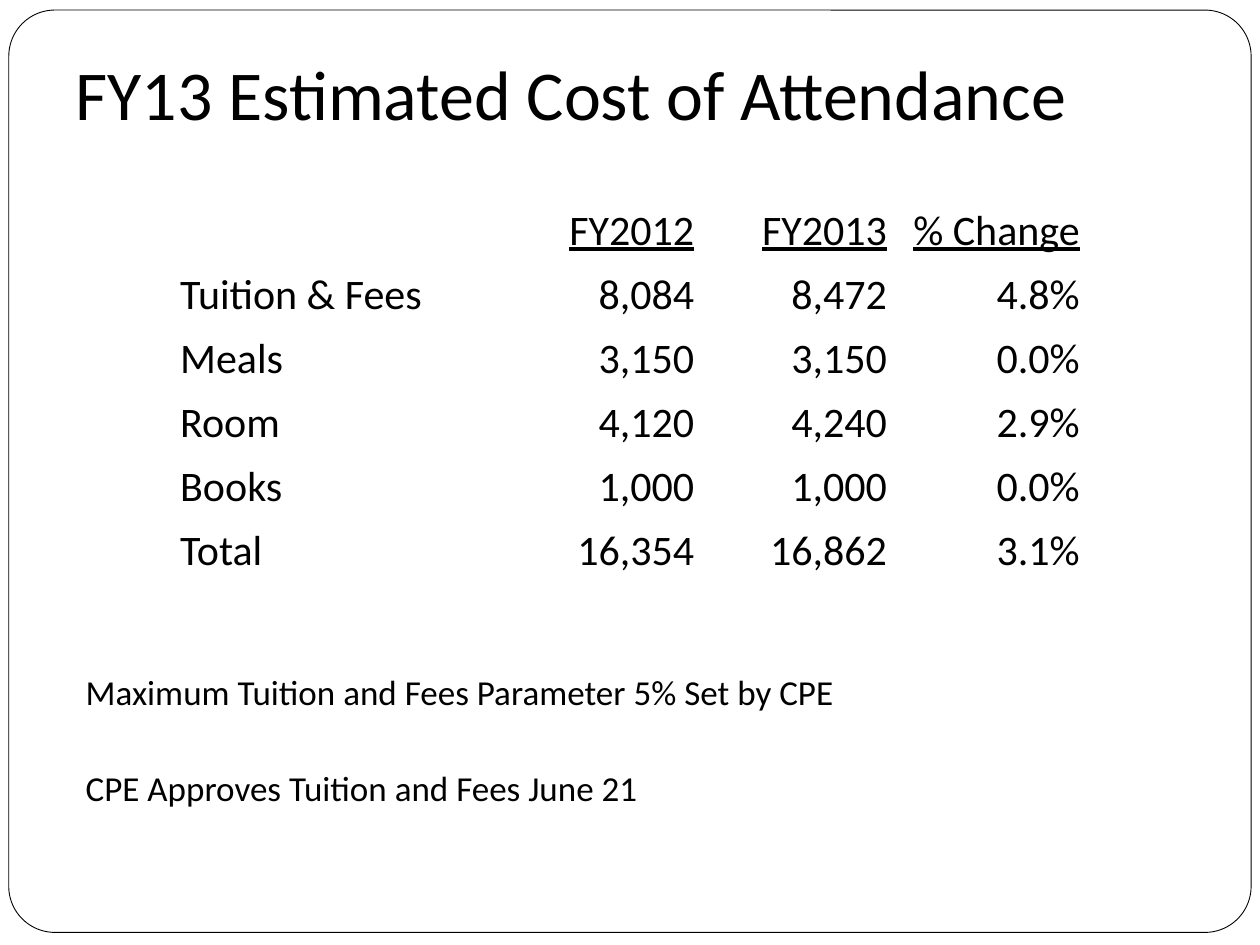
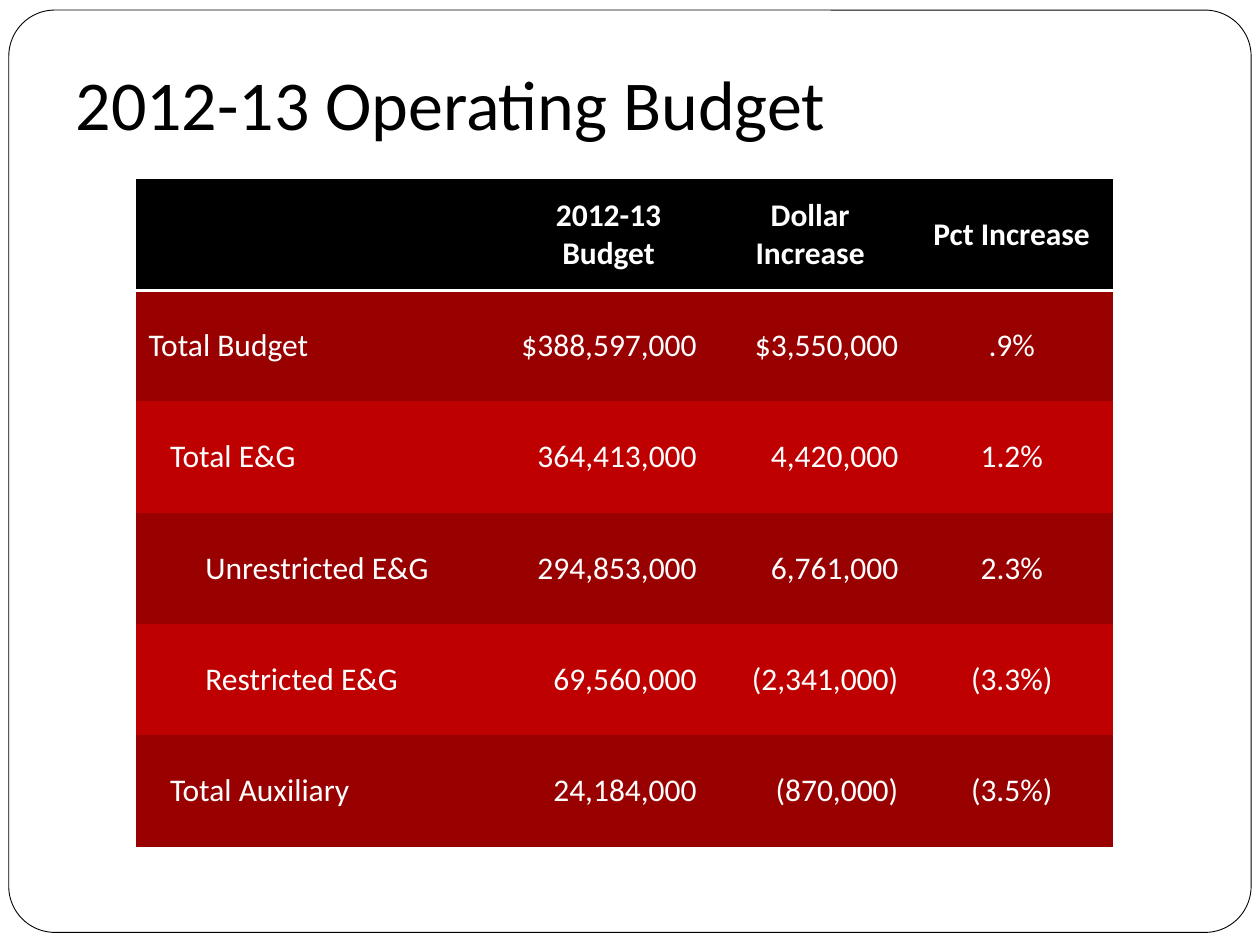
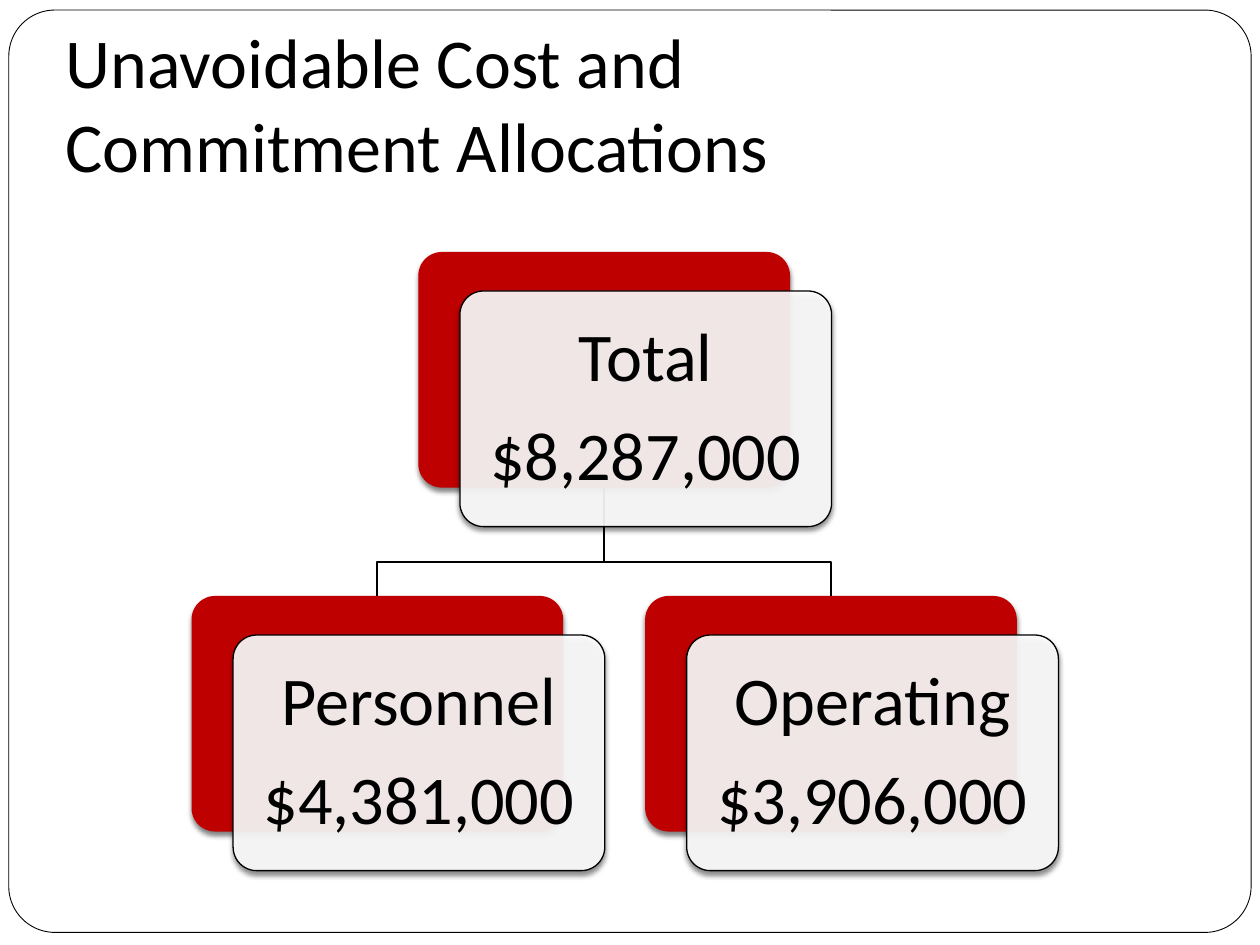
from lxml.etree import SubElement
from pptx import Presentation
from pptx.dml.color import RGBColor
from pptx.enum.shapes import MSO_SHAPE
from pptx.enum.text import MSO_ANCHOR, MSO_AUTO_SIZE, PP_ALIGN
from pptx.oxml import parse_xml
from pptx.oxml.ns import nsdecls, qn
from pptx.util import Inches, Pt

BLACK = RGBColor(0x00, 0x00, 0x00)
WHITE = RGBColor(0xFF, 0xFF, 0xFF)
RED = RGBColor(0xBF, 0x00, 0x00)
DARK_RED = RGBColor(0x99, 0x00, 0x00)
FONT = "Calibri"
NO_GRID_STYLE = "{2D5ABB26-0587-4C30-8999-92F81FD0307C}"
LEFT, CENTER, RIGHT = PP_ALIGN.LEFT, PP_ALIGN.CENTER, PP_ALIGN.RIGHT


class Deck:
    def __init__(self):
        self.prs = Presentation()
        self.prs.slide_width, self.prs.slide_height = Inches(10), Inches(7.5)
        self.slide = None

    def new_slide(self, title, left, top, width, height):
        self.slide = self.prs.slides.add_slide(self.prs.slide_layouts[5])
        heading = self.slide.shapes.title
        heading.left, heading.top = Inches(left), Inches(top)
        heading.width, heading.height = Inches(width), Inches(height)
        frame = heading.text_frame
        frame.auto_size = MSO_AUTO_SIZE.NONE
        frame.vertical_anchor = MSO_ANCHOR.BOTTOM
        frame.margin_bottom = Inches(0.1)
        paragraph = frame.paragraphs[0]
        for number, line in enumerate(title.split("\n")):
            if number:
                paragraph.add_line_break()
            self.run(paragraph, line, 40, align=LEFT)

    def run(self, paragraph, text, size, color=BLACK, align=LEFT, bold=False, underline=False):
        paragraph.alignment = align
        run = paragraph.add_run()
        run.text = text
        font = run.font
        font.name, font.size, font.color.rgb = FONT, Pt(size), color
        font.bold, font.underline = bold, underline

    def lines(self, frame, texts, size, gap, align=LEFT, spacing=None):
        frame.word_wrap = True
        for number, text in enumerate(texts):
            paragraph = frame.add_paragraph() if number else frame.paragraphs[0]
            paragraph.line_spacing = spacing
            if number:
                paragraph.space_before = Pt(gap)
            self.run(paragraph, text, size, align=align)

    def rounded(self, left, top, width, height, corner, fill, line=None):
        shape = self.slide.shapes.add_shape(
            MSO_SHAPE.ROUNDED_RECTANGLE, Inches(left), Inches(top), Inches(width), Inches(height))
        shape.adjustments[0] = corner
        shape.shadow.inherit = False
        shape.fill.solid()
        shape.fill.fore_color.rgb = fill
        if line:
            shape.line.color.rgb, shape.line.width = BLACK, Pt(line)
        else:
            shape.line.fill.background()
        return shape

    def master_frame(self):
        """Put the rounded page border behind everything on the master."""
        border = self.rounded(0.07, 0.08, 9.86, 7.32, 0.05, WHITE, 0.5)
        self.prs.slide_master.placeholders[0]._element.addprevious(border._element)

    def drop_shadow(self, shape):
        effects = shape._element.spPr.find(qn("a:effectLst"))
        effects.append(parse_xml(
            f'<a:outerShdw {nsdecls("a")} blurRad="{Pt(3)}" dist="{Pt(2)}" dir="5400000" '
            'rotWithShape="0"><a:srgbClr val="000000"><a:alpha val="50000"/></a:srgbClr>'
            '</a:outerShdw>'))

    def table(self, left, top, width, height, columns, rows):
        table = self.slide.shapes.add_table(
            len(rows), len(columns), Inches(left), Inches(top), Inches(width), Inches(height)).table
        table.first_row = table.horz_banding = False
        table._tbl.tblPr.find(qn("a:tableStyleId")).text = NO_GRID_STYLE
        for column, column_width in zip(table.columns, columns):
            column.width = Inches(column_width)
        return table

    def cell(self, cell, text, size, fill=None, **style):
        if fill is None:
            cell.fill.background()
        else:
            cell.fill.solid()
            cell.fill.fore_color.rgb = fill
            cell.vertical_anchor = MSO_ANCHOR.MIDDLE
        if text:
            self.run(cell.text_frame.paragraphs[0], text, size, **style)

    def bottom_border(self, cell, color, width):
        cell._tc.get_or_add_tcPr().insert(0, parse_xml(
            f'<a:lnB {nsdecls("a")} w="{Pt(width)}"><a:solidFill><a:srgbClr val="{color}"/>'
            '</a:solidFill></a:lnB>'))

    def branch(self, points):
        (start_x, start_y), *rest = [(Inches(x), Inches(y)) for x, y in points]
        builder = self.slide.shapes.build_freeform(start_x, start_y)
        builder.add_line_segments(rest, close=False)
        line = builder.convert_to_shape()
        line.shadow.inherit = False
        line.fill.background()
        line.line.color.rgb, line.line.width = BLACK, Pt(1)

    def card(self, left, top, width, height, texts):
        back = self.rounded(left, top, width, height, 0.1, RED)
        front = self.rounded(left + 0.33, top + 0.31, width, height, 0.1, WHITE, 0.75)
        white = front._element.spPr.find(qn("a:solidFill")).find(qn("a:srgbClr"))
        SubElement(white, qn("a:alpha")).set("val", "90000")
        for layer in (back, front):
            self.drop_shadow(layer)
        frame = front.text_frame
        frame.vertical_anchor = MSO_ANCHOR.MIDDLE
        frame.margin_left = frame.margin_right = Inches(0.1)
        self.lines(frame, texts, 39, 14, align=CENTER, spacing=0.9)


def attendance_cost(deck):
    deck.new_slide("FY13 Estimated Cost of Attendance", 0.5, 0.17, 9, 1)
    deck.master_frame()

    # Notes below the cost table
    notes = deck.slide.shapes.add_textbox(Inches(0.33), Inches(4.5), Inches(9), Inches(2.67))
    notes.text_frame.margin_left, notes.text_frame.margin_top = Inches(0.35), Inches(0.82)
    deck.lines(notes.text_frame, ["Maximum Tuition and Fees Parameter 5% Set by CPE",
                                  "CPE Approves Tuition and Fees June 21"], 20, 31)

    # Cost table
    costs = [
        ("", "FY2012", "FY2013", "% Change"),
        ("Tuition & Fees", "8,084", "8,472", "4.8%"),
        ("Meals", "3,150", "3,150", "0.0%"),
        ("Room", "4,120", "4,240", "2.9%"),
        ("Books", "1,000", "1,000", "0.0%"),
        ("Total", "16,354", "16,862", "3.1%"),
    ]
    table = deck.table(1.33, 1.58, 7.33, 3.05, [2.75] + [1.53] * 3, costs)
    for r, row in enumerate(costs):
        for c, text in enumerate(row):
            deck.cell(table.cell(r, c), text, 24, align=RIGHT if c else LEFT, underline=r == 0)


def operating_budget(deck):
    deck.new_slide("2012-13 Operating Budget", 0.5, 0.17, 9, 1.08)
    budget = [
        ("", "2012-13 Budget", "Dollar Increase", "Pct Increase"),
        ("Total Budget", "$388,597,000", "$3,550,000", ".9%"),
        ("Total E&G", "364,413,000", "4,420,000", "1.2%"),
        ("Unrestricted E&G", "294,853,000", "6,761,000", "2.3%"),
        ("Restricted E&G", "69,560,000", "(2,341,000)", "(3.3%)"),
        ("Total Auxiliary", "24,184,000", "(870,000)", "(3.5%)"),
    ]
    label_margins = [0.1, 0.1, 0.27, 0.55, 0.55, 0.27]
    aligns = [LEFT, RIGHT, RIGHT, CENTER]
    table = deck.table(1.08, 1.42, 7.75, 5.3, [2.95] + [1.6] * 3, budget)
    for r, row in enumerate(budget):
        header = r == 0
        fill = BLACK if header else (RED, DARK_RED)[r % 2]
        table.cell(r, 0).margin_left = Inches(label_margins[r])
        for c, text in enumerate(row):
            deck.cell(table.cell(r, c), text, 18, fill, color=WHITE, bold=header,
                      align=CENTER if header else aligns[c])
            if header:
                deck.bottom_border(table.cell(r, c), WHITE, 2)


def cost_allocations(deck):
    deck.new_slide("Unavoidable Cost and\nCommitment Allocations", 0.42, 0.33, 8.5, 1.25)
    width, height = 2.95, 1.87
    total_left, total_top = 3.32, 2
    parts_top, parts_shift = 4.73, 1.8
    center, bottom, fork = total_left + width / 2, total_top + height, 4.46

    # Branches from the total to its parts
    for shift in (parts_shift, -parts_shift):
        deck.branch([(center, bottom), (center, fork),
                     (center + shift, fork), (center + shift, parts_top)])

    # Amount cards
    for left, top, texts in [
        (total_left, total_top, ["Total", "$8,287,000"]),
        (total_left - parts_shift, parts_top, ["Personnel", "$4,381,000"]),
        (total_left + parts_shift, parts_top, ["Operating", "$3,906,000"]),
    ]:
        deck.card(left, top, width, height, texts)


def main():
    deck = Deck()
    attendance_cost(deck)
    operating_budget(deck)
    cost_allocations(deck)
    deck.prs.save("out.pptx")


if __name__ == "__main__":
    main()
